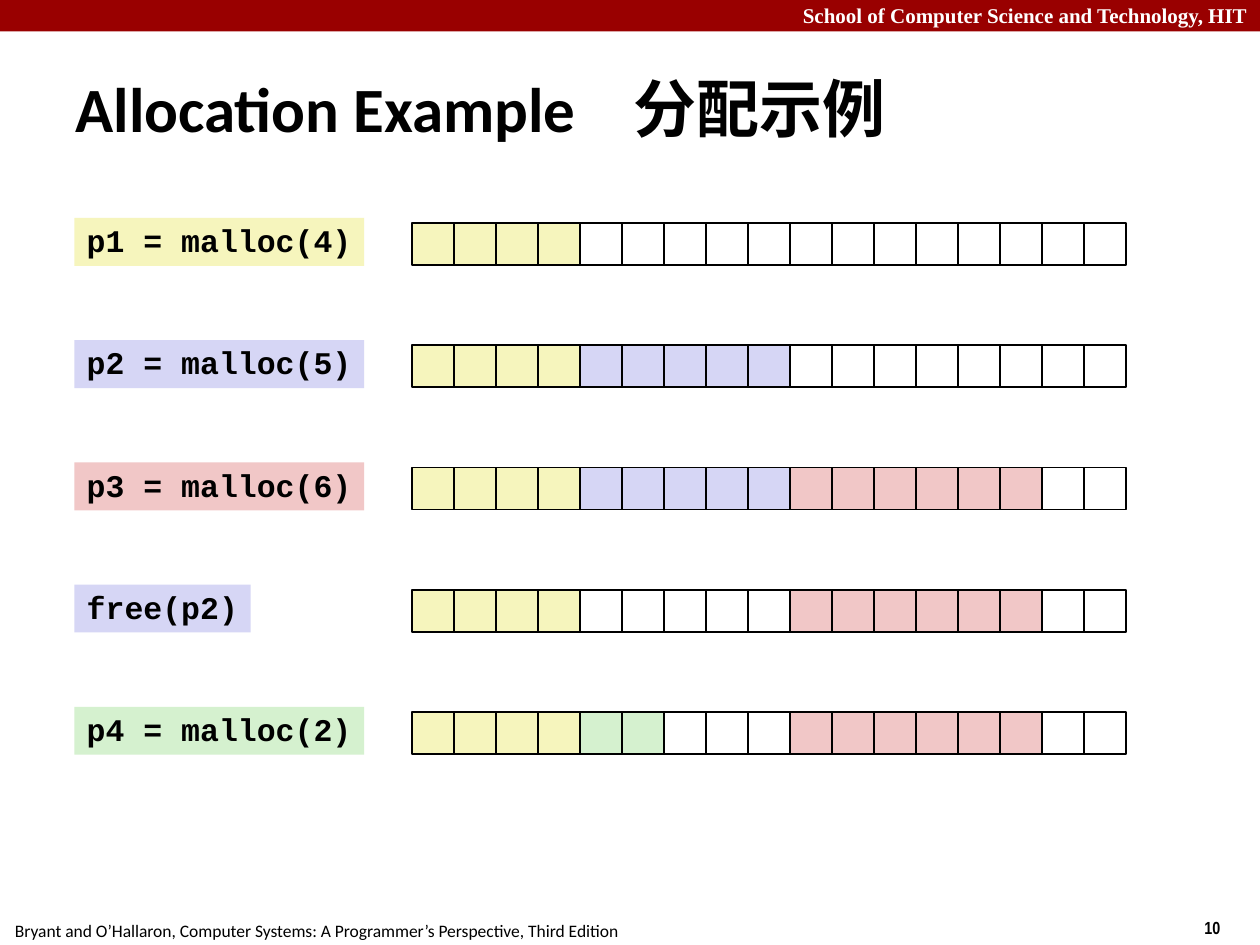
from pptx import Presentation
from pptx.dml.color import RGBColor
from pptx.enum.shapes import MSO_SHAPE
from pptx.enum.text import MSO_ANCHOR, MSO_AUTO_SIZE, PP_ALIGN
from pptx.oxml import parse_xml
from pptx.oxml.ns import nsdecls
from pptx.util import Inches, Pt

RECTANGLE = MSO_SHAPE.RECTANGLE
MIDDLE, TOP = MSO_ANCHOR.MIDDLE, MSO_ANCHOR.TOP
LEFT, RIGHT = PP_ALIGN.LEFT, PP_ALIGN.RIGHT
FIT_SHAPE, NO_FIT = MSO_AUTO_SIZE.SHAPE_TO_FIT_TEXT, MSO_AUTO_SIZE.NONE

BLACK = RGBColor(0x00, 0x00, 0x00)
WHITE = RGBColor(0xFF, 0xFF, 0xFF)
CRIMSON = RGBColor(0x99, 0x00, 0x00)
YELLOW = RGBColor(0xF6, 0xF5, 0xBD)
BLUE = RGBColor(0xD6, 0xD6, 0xF5)
PINK = RGBColor(0xF1, 0xC7, 0xC7)
GREEN = RGBColor(0xD5, 0xF1, 0xCF)

HEAP_WORDS = 17
HEAP_LEFT = 3.27
WORD_SIZE = 1 / 3
FIRST_STEP_TOP = 1.73
STEP_PITCH = 0.97

STEPS = [
    ("p1 = malloc(4)", 2.3, YELLOW, [(YELLOW, 4)]),
    ("p2 = malloc(5)", 2.3, BLUE, [(YELLOW, 4), (BLUE, 5)]),
    ("p3 = malloc(6)", 2.3, PINK, [(YELLOW, 4), (BLUE, 5), (PINK, 6)]),
    ("free(p2)", 1.4, BLUE, [(YELLOW, 4), (WHITE, 5), (PINK, 6)]),
    ("p4 = malloc(2)", 2.3, GREEN, [(YELLOW, 4), (GREEN, 2), (WHITE, 3), (PINK, 6)]),
]


class HeapSlide:
    """Draws the heap allocation steps on one slide in a shared style."""

    def __init__(self, slide):
        self.slide = slide

    def add_text(self, frame, text, size, font, bold=True, color=BLACK, align=LEFT):
        paragraph = frame.paragraphs[0]
        paragraph.alignment = align
        run = paragraph.add_run()
        run.text = text
        run.font.size = Pt(size)
        run.font.name = font
        run.font.bold = bold
        run.font.color.rgb = color
        return paragraph

    def title(self, english, chinese, chinese_offset):
        heading = self.slide.shapes.title
        heading.left, heading.top = Inches(0.5), Inches(0.54)
        heading.width, heading.height = Inches(7.07), Inches(0.63)
        frame = heading.text_frame
        frame.vertical_anchor = MIDDLE
        frame.auto_size = NO_FIT
        self.add_text(frame, english + "\t", 36, "Calibri")
        paragraph = self.add_text(frame, chinese, 36, "Calibri")
        properties = paragraph._p.get_or_add_pPr()
        properties.append(parse_xml(
            f'<a:tabLst {nsdecls("a")}><a:tab pos="{Inches(chinese_offset)}" algn="l"/></a:tabLst>'
        ))

    def note(self, box, text, size, font, wrap=False, **style):
        caption = self.slide.shapes.add_textbox(*map(Inches, box))
        frame = caption.text_frame
        frame.word_wrap = wrap
        frame.auto_size = FIT_SHAPE
        self.add_text(frame, text, size, font, **style)

    def rectangle(self, shapes, box, fill, outlined=False):
        block = shapes.add_shape(RECTANGLE, *map(Inches, box))
        block.shadow.inherit = False
        block.fill.solid()
        block.fill.fore_color.rgb = fill
        if outlined:
            block.line.color.rgb = BLACK
            block.line.width = Pt(1)
        else:
            block.line.fill.background()
        return block

    def call(self, top, text, width, fill):
        label = self.rectangle(self.slide.shapes, (0.59, top, width, 0.38), fill)
        frame = label.text_frame
        frame.word_wrap = False
        frame.auto_size = FIT_SHAPE
        frame.vertical_anchor = TOP
        self.add_text(frame, text, 18, "Courier New").line_spacing = 0.94

    def heap(self, top, blocks):
        words = [color for color, count in blocks for _ in range(count)]
        words += [WHITE] * (HEAP_WORDS - len(words))
        group = self.slide.shapes.add_group_shape()
        for index, color in enumerate(words):
            box = (HEAP_LEFT + index * WORD_SIZE, top, WORD_SIZE, WORD_SIZE)
            self.rectangle(group.shapes, box, color, outlined=True)


def main():
    deck = Presentation()
    deck.slide_width, deck.slide_height = Inches(10), Inches(7.5)
    page = HeapSlide(deck.slides.add_slide(deck.slide_layouts[5]))

    page.rectangle(page.slide.shapes, (0, 0, 10, 0.25), CRIMSON)
    page.note((9.46, 7.23, 0.75, 0.27), "10", 10, "Arial Narrow")
    page.note(
        (0.02, 7.25, 5.01, 0.27),
        "Bryant and O’Hallaron, Computer Systems: A Programmer’s Perspective, Third Edition",
        10, "Calibri", bold=False,
    )
    page.note(
        (0, -0.03, 10, 0.3), "School of Computer Science and Technology, HIT",
        12, "Times New Roman", wrap=True, color=WHITE, align=RIGHT,
    )
    page.title("Allocation Example", "分配示例", 4.43)

    for index, (text, width, color, blocks) in enumerate(STEPS):
        top = FIRST_STEP_TOP + index * STEP_PITCH
        page.heap(top + 0.04, blocks)
        page.call(top, text, width, color)

    deck.save("out.pptx")


if __name__ == "__main__":
    main()
